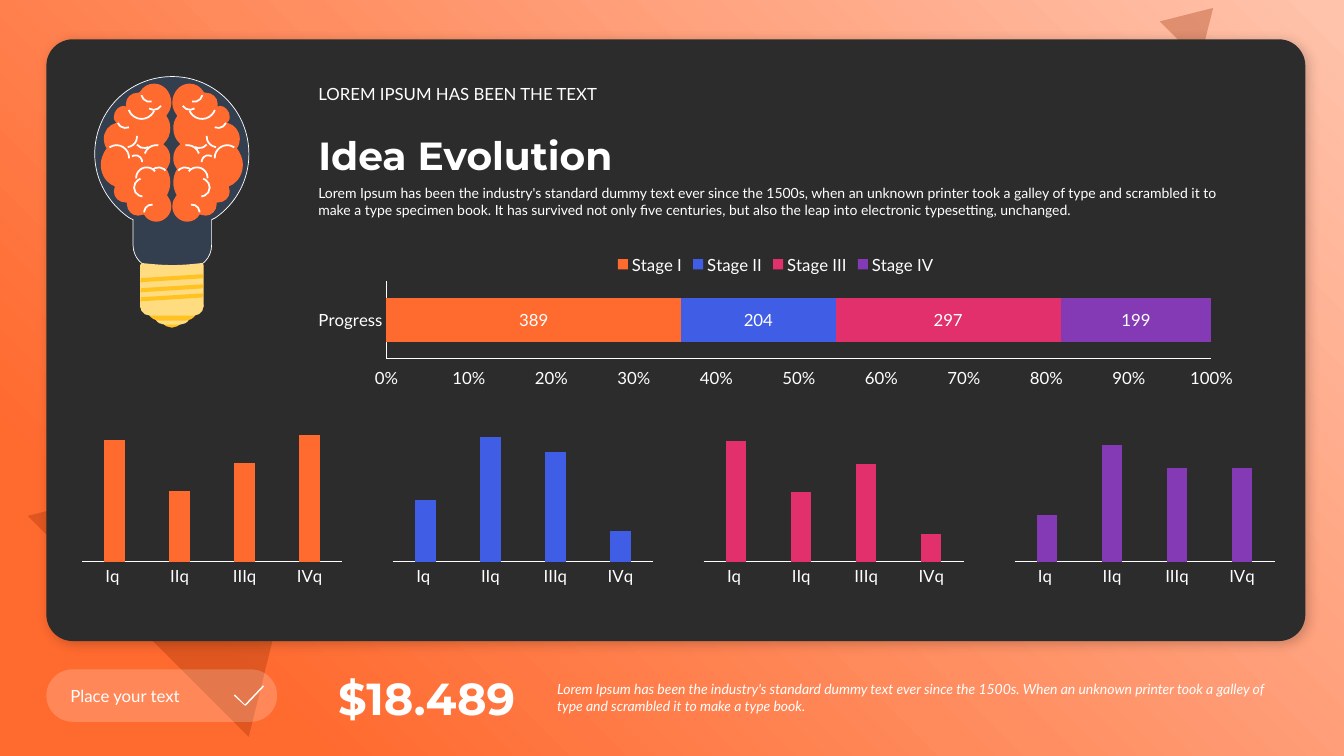
from dataclasses import dataclass

from pptx import Presentation, oxml, util as u
from pptx.chart import data as cd
from pptx.dml import color as dc
from pptx.enum import chart as ce, shapes, text
from pptx.oxml import ns

WHITE = dc.RGBColor(0xFF, 0xFF, 0xFF)
DARK = dc.RGBColor(0x2C, 0x2C, 0x2C)
BROWN = dc.RGBColor(0x97, 0x2B, 0x00)
NAVY = dc.RGBColor(0x33, 0x3F, 0x4F)
CREAM = dc.RGBColor(0xFF, 0xDC, 0x80)
GOLD = dc.RGBColor(0xFF, 0xC2, 0x20)
ORANGE = dc.RGBColor(0xFF, 0x6A, 0x2F)
BLUE = dc.RGBColor(0x40, 0x5D, 0xE6)
PINK = dc.RGBColor(0xE1, 0x30, 0x6C)
PURPLE = dc.RGBColor(0x83, 0x3A, 0xB4)
PEACH = dc.RGBColor(0xFF, 0xC3, 0xAC)
KIND = shapes.MSO_SHAPE
A_NS = ns.nsdecls("a")
WIDTH, HEIGHT = 40 / 3, 7.5
MIRROR = 3.41


@dataclass
class Fold:
    x: float
    y: float
    size: float
    turn: float
    start: float = 270
    end: float = 0


@dataclass
class Stage:
    name: str
    total: int
    color: dc.RGBColor
    quarters: tuple
    top: int


FOLDS = [
    Fold(1.44, 0.92, 0.17, 122.3), Fold(1.4, 0.84, 0.17, 167.1),
    Fold(1.27, 0.91, 0.27, 167.1, 216.9, 353.2), Fold(1.03, 1.44, 0.25, 167.1, 69.3, 195.4),
    Fold(1.28, 1.54, 0.13, 167.1, 69.3, 195.4), Fold(1.16, 1.1, 0.17, 156.5),
    Fold(1.49, 1.66, 0.17, 126.4, 105, 195.4), Fold(1.35, 1.66, 0.21, 126.4, 51.6, 195.4),
    Fold(1.43, 2.03, 0.15, 126.4, 51.6, 151.3), Fold(1.43, 1.44, 0.24, 158.8, 39.7, 120.5),
    Fold(1.33, 1.77, 0.18, 58.3, 36.2, 195.4), Fold(1.34, 1.29, 0.18, 21.9, 39.7, 120.5),
    Fold(1.15, 1.25, 0.21, 110.9, 245.5, 332.7),
]
STAGES = [
    Stage("Stage I", 389, ORANGE, (96, 56, 78, 100), 111),
    Stage("Stage II", 204, BLUE, (50, 100, 88, 25), 113),
    Stage("Stage III", 297, PINK, (100, 58, 81, 23), 116),
    Stage("Stage IV", 199, PURPLE, (40, 100, 80, 80), 120),
]
CHECK = [(2.62, 6.81), (2.61, 6.8), (2.43, 6.99), (2.33, 6.89), (2.32, 6.9), (2.43, 7), (2.44, 7)]
GLASS = [
    (1.71, 0.76), (2.13, 0.76, 2.47, 1.1, 2.47, 1.53), (2.47, 1.79, 2.34, 2.02, 2.14, 2.16),
    (2.1, 2.18), (2.1, 2.43), (2.1, 2.56, 2, 2.66, 1.88, 2.66), (1.54, 2.66),
    (1.42, 2.66, 1.32, 2.56, 1.32, 2.43), (1.32, 2.18), (1.28, 2.16),
    (1.08, 2.02, 0.94, 1.79, 0.94, 1.53), (0.94, 1.1, 1.28, 0.76, 1.71, 0.76),
]
LOBE = [
    (1.53, 0.83), (1.62, 0.83, 1.7, 0.91, 1.7, 1.02), (1.7, 1.05, 1.69, 1.09, 1.67, 1.12),
    (1.65, 1.15), (1.68, 1.19, 1.69, 1.23, 1.69, 1.27), (1.69, 1.33, 1.67, 1.38, 1.63, 1.42),
    (1.62, 1.43), (1.63, 1.44), (1.67, 1.47, 1.69, 1.52, 1.69, 1.57),
    (1.69, 1.61, 1.68, 1.64, 1.66, 1.67), (1.65, 1.68), (1.66, 1.69),
    (1.68, 1.73, 1.69, 1.77, 1.69, 1.81), (1.69, 1.85, 1.68, 1.89, 1.66, 1.93), (1.65, 1.94),
    (1.66, 1.94), (1.68, 1.97, 1.7, 2, 1.7, 2.05), (1.7, 2.13, 1.63, 2.2, 1.55, 2.2),
    (1.5, 2.2, 1.45, 2.17, 1.43, 2.13), (1.42, 2.13), (1.4, 2.14, 1.39, 2.14, 1.37, 2.14),
    (1.31, 2.14, 1.26, 2.09, 1.26, 2.03), (1.26, 2.01), (1.25, 2.01),
    (1.18, 2.01, 1.13, 1.96, 1.13, 1.9), (1.13, 1.88, 1.13, 1.87, 1.14, 1.85), (1.1, 1.83),
    (1.04, 1.79, 1, 1.72, 1, 1.63), (1, 1.58, 1.02, 1.54, 1.04, 1.5), (1.06, 1.47), (1.05, 1.46),
    (1.04, 1.44, 1.03, 1.41, 1.03, 1.38), (1.03, 1.3, 1.08, 1.24, 1.15, 1.22), (1.16, 1.22),
    (1.14, 1.2), (1.13, 1.19, 1.13, 1.17, 1.13, 1.16), (1.13, 1.1, 1.18, 1.05, 1.23, 1.05),
    (1.25, 1.06), (1.25, 1.03), (1.25, 0.97, 1.3, 0.92, 1.37, 0.92), (1.38, 0.92), (1.39, 0.91),
    (1.42, 0.86, 1.47, 0.83, 1.53, 0.83),
]
THREAD = [
    (1.39, 2.63), (1.39, 2.62, 1.4, 2.61, 1.41, 2.61), (1.51, 2.62, 1.6, 2.63, 1.71, 2.63),
    (1.82, 2.63, 1.91, 2.62, 2, 2.61), (2.01, 2.61, 2.02, 2.62, 2.02, 2.63), (2.02, 3.04),
    (2.02, 3.05, 2.01, 3.06, 2, 3.06), (1.41, 3.06), (1.4, 3.06, 1.39, 3.05, 1.39, 3.04),
]


def style(sp, fill=None, alpha=100, line=None, width=1.25):
    sp.shadow.inherit = False
    if fill is None:
        sp.fill.background()
    else:
        sp.fill.solid()
        sp.fill.fore_color.rgb = fill
        if alpha < 100:
            clr = sp._element.spPr.find(".//" + ns.qn("a:srgbClr"))
            clr.append(oxml.parse_xml(f'<a:alpha {A_NS} val="{alpha * 1000}"/>'))
    if line is None:
        sp.line.fill.background()
    else:
        sp.line.color.rgb = line
        sp.line.width = u.Pt(width)
    return sp


def add_preset(tree, kind, box, adj=(), turn=0.0, **look):
    sp = tree.add_shape(kind, *map(u.Inches, box))
    for i, value in enumerate(adj):
        sp.adjustments[i] = value
    sp.rotation = turn
    return style(sp, **look)


def add_outline(tree, segments, mirrored=False, **look):
    steps = [[(u.Inches(MIRROR - x if mirrored else x), u.Inches(y)) for x, y in zip(seg[::2], seg[1::2])]
             for seg in segments]
    ends = [step[-1] for step in steps]
    builder = tree.build_freeform(*ends[0], scale=1.0)
    builder.add_line_segments(ends[1:], close=True)
    sp = builder.convert_to_shape()
    left, top = (min(axis) for axis in zip(*ends))
    lines = sp._element.spPr.findall(".//" + ns.qn("a:lnTo"))
    for ln, step in zip(lines, steps[1:]):
        if len(step) == 3:
            pts = "".join(f'<a:pt x="{x - left}" y="{y - top}"/>' for x, y in step)
            ln.getparent().replace(ln, oxml.parse_xml(f"<a:cubicBezTo {A_NS}>{pts}</a:cubicBezTo>"))
    return style(sp, **look)


def add_text(tree, words: str, box, size=12, font="Lato", bold=False, italic=False,
             anchor=text.MSO_ANCHOR.MIDDLE, align=text.PP_ALIGN.LEFT, after=0):
    tf = tree.add_textbox(*map(u.Inches, box)).text_frame
    tf.word_wrap = True
    tf.auto_size = text.MSO_AUTO_SIZE.SHAPE_TO_FIT_TEXT
    tf.vertical_anchor = anchor
    p = tf.paragraphs[0]
    p.alignment, p.space_after = align, u.Pt(after)
    r = p.add_run()
    r.text = words
    r.font.size, r.font.name, r.font.bold, r.font.italic = u.Pt(size), font, bold, italic
    r.font.color.rgb = WHITE


def add_bars(tree, kind, box, categories, series, gap: int, overlap: int):
    data = cd.CategoryChartData()
    data.categories = categories
    for name, values, _ in series:
        data.add_series(name, values)
    chart = tree.add_chart(kind, *map(u.Inches, box), data).chart
    chart.has_title = chart.has_legend = False
    chart.font.size, chart.font.name = u.Pt(12), "Lato"
    chart.font.color.rgb = WHITE
    plot = chart.plots[0]
    plot.gap_width, plot.overlap, plot.vary_by_categories = gap, overlap, False
    for ser, (_, _, color) in zip(plot.series, series):
        ser.format.fill.solid()
        ser.format.fill.fore_color.rgb = color
    chart.value_axis.has_major_gridlines = False
    for axis in (chart.category_axis, chart.value_axis):
        axis.major_tick_mark = axis.minor_tick_mark = ce.XL_TICK_MARK.NONE
        axis.format.line.color.rgb = WHITE
        axis.format.line.width = u.Pt(0.75)
    return chart


def add_quarters(tree, stage: Stage, left: float):
    chart = add_bars(tree, ce.XL_CHART_TYPE.COLUMN_CLUSTERED, (left, 3.97, 2.71, 2.2),
                     ("Iq ", "IIq", "IIIq", "IVq"), [("Series 1", stage.quarters, stage.color)], 219, -27)
    axis = chart.value_axis
    axis.visible, axis.minimum_scale, axis.maximum_scale = False, 0, stage.top
    area = chart._chartSpace.chart.plotArea
    for old in area.findall(ns.qn("c:layout")):
        area.remove(old)
    sizes = "".join(f'<c:{k} val="{v}"/>' for k, v in (("x", 0.024), ("y", 0.095), ("w", 0.952), ("h", 0.635)))
    area.insert(0, oxml.parse_xml(
        f'<c:layout {ns.nsdecls("c")}><c:manualLayout><c:layoutTarget val="inner"/><c:xMode val="edge"/>'
        f'<c:yMode val="edge"/>{sizes}</c:manualLayout></c:layout>'))


def add_progress(tree):
    chart = add_bars(tree, ce.XL_CHART_TYPE.BAR_STACKED_100, (2.97, 2.41, 9.45, 1.47), ("Progress",),
                     [(st.name, (st.total,), st.color) for st in STAGES], 75, 100)
    chart.has_legend = True
    chart.legend.position, chart.legend.include_in_layout = ce.XL_LEGEND_POSITION.TOP, False
    chart.value_axis.tick_label_position = ce.XL_TICK_LABEL_POSITION.LOW
    chart.value_axis.tick_labels.number_format = "0%"
    chart.value_axis.tick_labels.number_format_is_linked = False
    for ser in chart.plots[0].series:
        ser.data_labels.show_value = True
        ser.data_labels.font.color.rgb = WHITE


def add_backdrop(tree):
    spPr = add_preset(tree, KIND.RECTANGLE, (0, 0, WIDTH, HEIGHT))._element.spPr
    spPr.replace(spPr.find(ns.qn("a:noFill")), oxml.parse_xml(
        f'<a:gradFill {A_NS}><a:gsLst><a:gs pos="0"><a:srgbClr val="{PEACH}"/></a:gs>'
        f'<a:gs pos="85000"><a:srgbClr val="{ORANGE}"/></a:gs></a:gsLst>'
        '<a:path path="circle"><a:fillToRect l="100000" b="100000"/></a:path></a:gradFill>'))
    for box in ((0.73, 4.02, 3.1, 2.57), (11.59, 0.01, 0.56, 0.47)):
        add_preset(tree, KIND.ISOSCELES_TRIANGLE, box, turn=45, fill=BROWN, alpha=30)
    card = add_preset(tree, KIND.ROUNDED_RECTANGLE, (0.46, 0.39, 12.49, 5.97), (0.044,), fill=DARK)
    card._element.spPr.find(ns.qn("a:effectLst")).append(oxml.parse_xml(
        f'<a:outerShdw {A_NS} blurRad="{u.Pt(8)}" dist="{u.Pt(3)}" dir="2700000" rotWithShape="0">'
        '<a:srgbClr val="000000"><a:alpha val="20000"/></a:srgbClr></a:outerShdw>'))


def add_bulb(tree):
    add_outline(tree, GLASS, fill=NAVY, line=WHITE, width=0.5)
    for mirrored in (False, True):
        add_outline(tree, LOBE, mirrored, fill=ORANGE)
        for f in FOLDS:
            left = MIRROR - f.x - f.size if mirrored else f.x
            sp = add_preset(tree, KIND.ARC, (left, f.y, f.size, f.size), (f.start * 0.6, f.end * 0.6),
                            360 - f.turn if mirrored else f.turn, line=WHITE)
            if mirrored:
                sp._element.spPr.get_or_add_xfrm().set("flipH", "1")
    for box, color in (((1.6, 3.05, 0.21, 0.2), GOLD), ((1.53, 3.02, 0.36, 0.2), CREAM),
                       ((1.46, 2.94, 0.5, 0.24), GOLD), ((1.39, 2.94, 0.63, 0.19), CREAM)):
        add_preset(tree, KIND.ROUNDED_RECTANGLE, box, (0.5,), fill=color)
    add_outline(tree, THREAD, fill=CREAM)
    for y in (2.74, 2.84, 2.93):
        add_preset(tree, KIND.PARALLELOGRAM, (1.39, y, 0.63, 0.04), (0.311,), 356.4, fill=GOLD)


def main():
    prs = Presentation()
    prs.slide_width, prs.slide_height = u.Inches(WIDTH), u.Inches(HEIGHT)
    s = prs.slides.add_slide(prs.slide_layouts[6])
    s.background.fill.solid()
    s.background.fill.fore_color.rgb = DARK
    tree = s.shapes
    add_backdrop(tree)
    button = tree.add_group_shape().shapes
    add_preset(button, KIND.ROUNDED_RECTANGLE, (0.46, 6.64, 2.29, 0.52), (0.5,), fill=WHITE, alpha=20)
    add_outline(button, CHECK, fill=WHITE)
    add_text(button, "Place your text", (0.6, 6.75, 1.88, 0.3))
    add_text(tree, "$18.489 ", (3.19, 6.6, 2.02, 0.64), size=32, font="Montserrat", bold=True,
             align=text.PP_ALIGN.RIGHT)
    add_text(tree, "Lorem Ipsum has been the industry's standard dummy text ever since the 1500s. When an unknown "
             "printer took a galley of type and scrambled it to make a type book.",
             (5.43, 6.7, 7.33, 0.44), size=10, italic=True, after=6)
    add_bulb(tree.add_group_shape().shapes)
    add_text(tree, "Lorem Ipsum has been the industry's standard dummy text ever since the 1500s, when an unknown "
             "printer took a galley of type and scrambled it to make a type specimen book. It has survived not "
             "only five centuries, but also the leap into electronic typesetting, unchanged.",
             (3.06, 1.78, 9.35, 0.44), size=10, anchor=text.MSO_ANCHOR.TOP, after=6)
    add_text(tree, "Idea Evolution", (3.06, 1.25, 9.35, 0.57), size=28, font="Montserrat", bold=True,
             anchor=text.MSO_ANCHOR.BOTTOM)
    add_text(tree, "LOREM IPSUM HAS BEEN THE TEXT", (3.06, 0.78, 9.35, 0.3), anchor=text.MSO_ANCHOR.BOTTOM)
    for i, stage in enumerate(STAGES):
        add_quarters(tree, stage, 0.75 + i * 9.25 / 3)
    add_progress(tree)
    prs.save("out.pptx")


if __name__ == "__main__":
    main()
